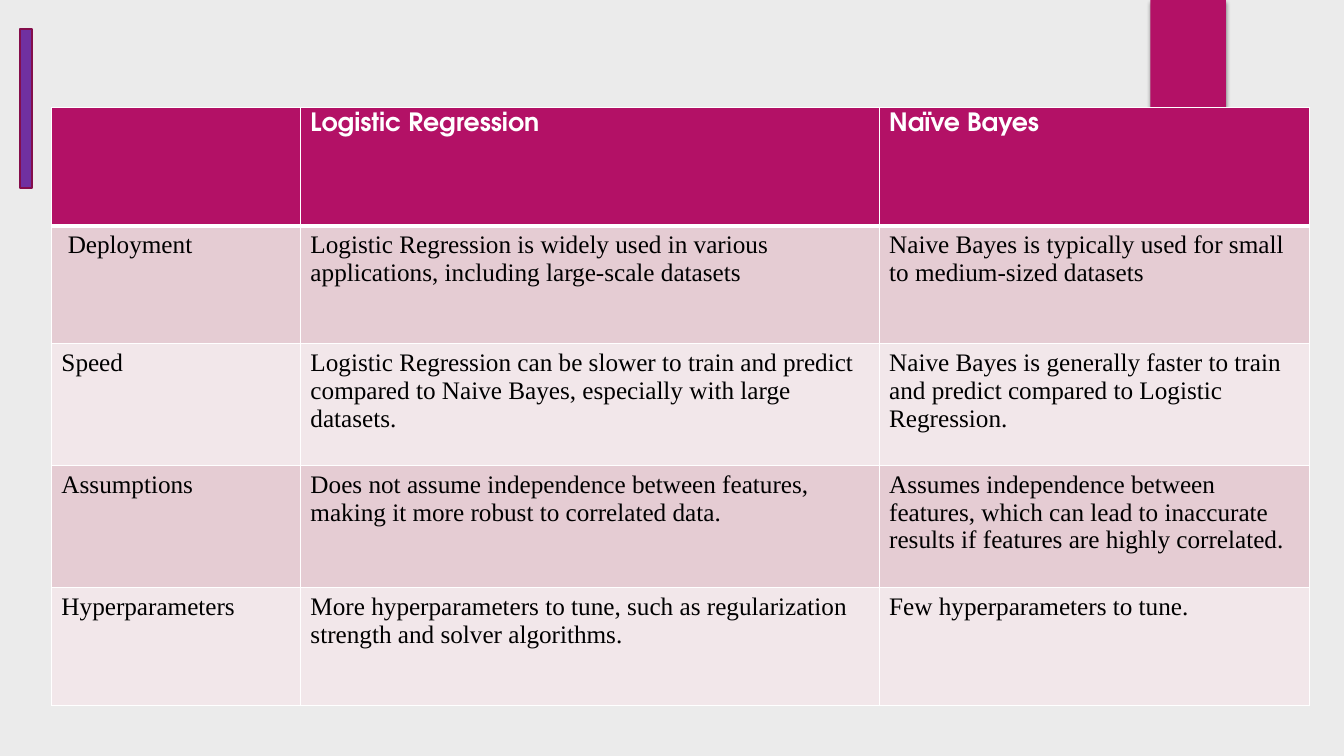
from lxml import etree
from pptx import Presentation
from pptx.dml.color import RGBColor
from pptx.enum.shapes import MSO_SHAPE
from pptx.oxml import parse_xml
from pptx.oxml.ns import nsdecls, qn
from pptx.util import Inches, Pt

PINK = RGBColor(0xB3, 0x11, 0x66)
PLUM = RGBColor(0x84, 0x0D, 0x4B)
PURPLE = RGBColor(0x70, 0x30, 0xA0)
ROSE = RGBColor(0xE5, 0xCC, 0xD3)
PALE = RGBColor(0xF2, 0xE7, 0xEA)
GREY = RGBColor(0xEB, 0xEB, 0xEB)
WHITE = RGBColor(0xFF, 0xFF, 0xFF)
BLACK = RGBColor(0, 0, 0)

HEAD = {"name": "TeX Gyre Adventor", "size": Pt(18), "bold": True}
BODY = {"name": "Times New Roman", "size": Pt(18), "bold": False}
COLS = [2.47, 5.74, 4.27]
ROWS = [1.17, 1.17, 1.21, 1.21, 1.17]
CELLS = [
    ["", "Logistic Regression", "Naïve Bayes"],
    [" Deployment",
     "Logistic Regression is widely used in various applications, including large-scale datasets",
     "Naive Bayes is typically used for small to medium-sized datasets"],
    ["Speed",
     "Logistic Regression can be slower to train and predict compared to Naive Bayes, "
     "especially with large datasets.",
     "Naive Bayes is generally faster to train and predict compared to Logistic Regression."],
    ["Assumptions",
     "Does not assume independence between features, making it more robust to correlated data.",
     "Assumes independence between features, which can lead to inaccurate results "
     "if features are highly correlated."],
    ["Hyperparameters",
     "More hyperparameters to tune, such as regularization strength and solver algorithms.",
     "Few hyperparameters to tune."],
]


def add_form(slide, kind, box, fill):
    form = slide.shapes.add_shape(kind, *map(Inches, box))
    form.shadow.inherit = False
    form.fill.solid()
    form.fill.fore_color.rgb = fill
    return form


def add_tab(slide, box):
    tab = add_form(slide, MSO_SHAPE.RECTANGLE, box, PINK)
    tab.line.fill.background()
    glow = tab._element.spPr.find(qn("a:effectLst"))
    glow.append(parse_xml(
        f'<a:outerShdw {nsdecls("a")} blurRad="38100" dist="25400" dir="5400000" rotWithShape="0">'
        '<a:srgbClr val="000000"><a:alpha val="45000"/></a:srgbClr></a:outerShdw>'))


def add_bar(slide, box):
    bar = add_form(slide, MSO_SHAPE.MATH_MINUS, box, PURPLE)
    bar.rotation = 90
    bar.line.color.rgb = PLUM
    bar.line.width = Pt(1.5)


def set_edges(cell, foot):
    props = cell._tc.get_or_add_tcPr()
    for spot, (side, width) in enumerate(zip("LRTB", (1, 1, 1, foot))):
        edge = etree.Element(qn(f"a:ln{side}"), w=str(Pt(width)))
        fill = etree.SubElement(edge, qn("a:solidFill"))
        etree.SubElement(fill, qn("a:srgbClr"), val=str(WHITE))
        props.insert(spot, edge)


def fill_cell(cell, text, fill, color, style, foot):
    cell.fill.solid()
    cell.fill.fore_color.rgb = fill
    set_edges(cell, foot)
    cell.text = text
    font = cell.text_frame.paragraphs[0].font
    for key, value in style.items():
        setattr(font, key, value)
    font.color.rgb = color


def add_grid(slide, left, top):
    frame = slide.shapes.add_table(
        len(ROWS), len(COLS), Inches(left), Inches(top),
        Inches(sum(COLS)), Inches(sum(ROWS)))
    grid = frame.table
    for col, width in zip(grid.columns, COLS):
        col.width = Inches(width)
    for row, height in zip(grid.rows, ROWS):
        row.height = Inches(height)
    for i, line in enumerate(CELLS):
        look = (PINK, WHITE, HEAD, 3) if i == 0 else (ROSE if i % 2 else PALE, BLACK, BODY, 1)
        for j, text in enumerate(line):
            fill_cell(grid.cell(i, j), text, *look)


def main():
    deck = Presentation()
    deck.slide_width, deck.slide_height = Inches(13.33), Inches(7.5)
    slide = deck.slides.add_slide(deck.slide_layouts[6])
    back = slide.background.fill
    back.solid()
    back.fore_color.rgb = GREY
    add_tab(slide, (11.41, 0, 0.75, 1.25))
    add_bar(slide, (-0.82, 0.82, 2.15, 0.51))
    add_grid(slide, 0.51, 1.07)
    deck.save("out.pptx")


if __name__ == "__main__":
    main()
